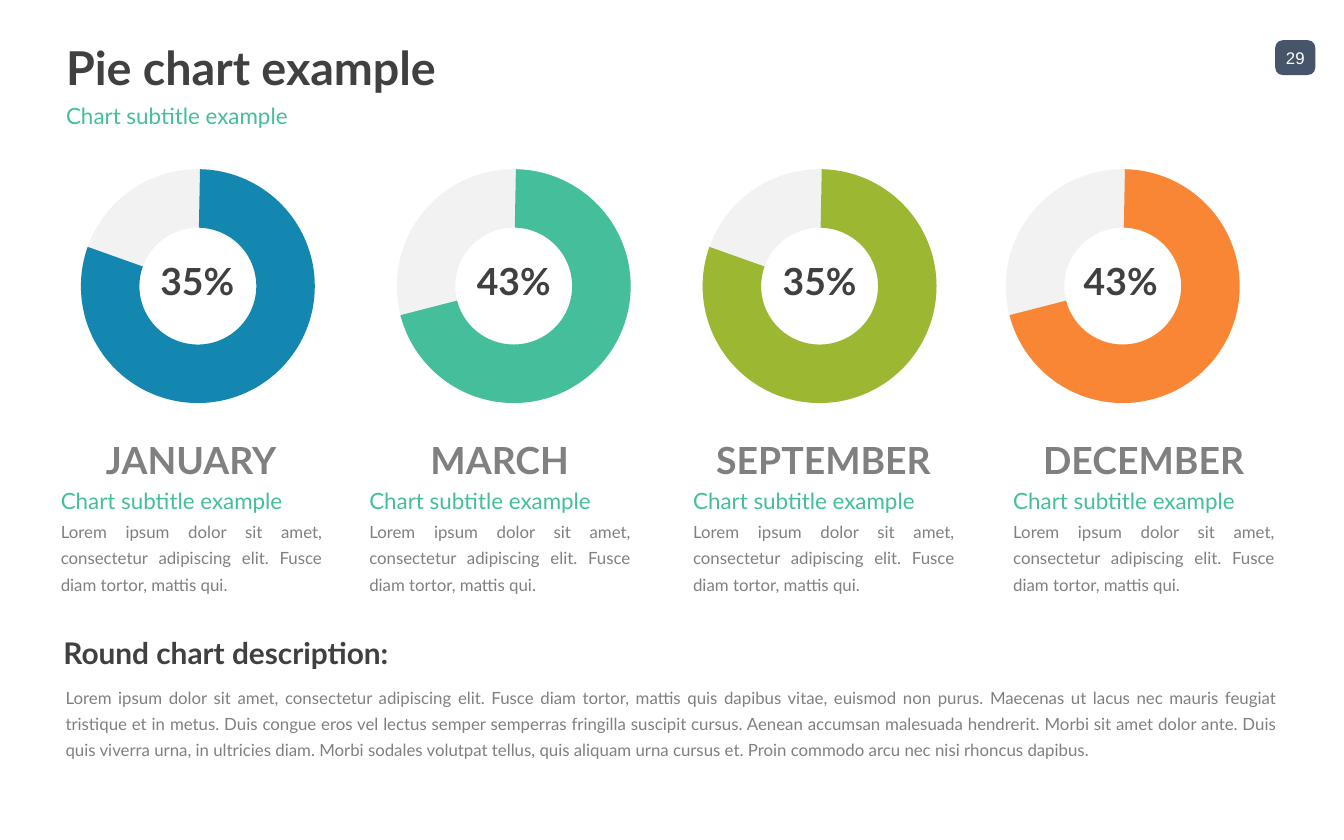
from dataclasses import dataclass

from pptx import Presentation
from pptx.dml.color import RGBColor
from pptx.enum.shapes import MSO_SHAPE
from pptx.enum.text import MSO_ANCHOR, PP_ALIGN
from pptx.shapes.autoshape import Shape
from pptx.slide import Slide
from pptx.util import Cm, Pt

DARK = RGBColor(0x40, 0x40, 0x40)
GRAY = RGBColor(0x80, 0x80, 0x80)
TRACK = RGBColor(0xF2, 0xF2, 0xF2)
SLATE = RGBColor(0x46, 0x55, 0x6A)
WHITE = RGBColor(0xFF, 0xFF, 0xFF)
BLUE = RGBColor(0x14, 0x87, 0xB1)
GREEN = RGBColor(0x44, 0xBE, 0x9B)
OLIVE = RGBColor(0x9C, 0xB8, 0x33)
ORANGE = RGBColor(0xF9, 0x86, 0x34)

RING_TOP, RING_SIZE = 3.2, 4.42
COLUMN_WIDTH = 4.93
ARC_START = 162.64
SUBTITLE = "Chart subtitle example"
MONTH_TEXT = ("Lorem ipsum dolor sit amet, consectetur adipiscing elit. "
              "Fusce diam tortor, mattis qui.")
DESCRIPTION = (
    "Lorem ipsum dolor sit amet, consectetur adipiscing elit. Fusce diam tortor, "
    "mattis quis dapibus vitae, euismod non purus. Maecenas ut lacus nec mauris "
    "feugiat tristique et in metus. Duis congue eros vel lectus semper semperras "
    "fringilla suscipit cursus. Aenean accumsan malesuada hendrerit. Morbi sit amet "
    "dolor ante. Duis quis viverra urna, in ultricies diam. Morbi sodales volutpat "
    "tellus, quis aliquam urna cursus et. Proin commodo arcu nec nisi rhoncus dapibus."
)


@dataclass(frozen=True)
class Area:
    """A rectangle in centimetres."""
    left: float
    top: float
    width: float
    height: float

    def lengths(self) -> tuple[Cm, Cm, Cm, Cm]:
        """Return the rectangle as slide lengths."""
        return Cm(self.left), Cm(self.top), Cm(self.width), Cm(self.height)


@dataclass(frozen=True)
class Style:
    """The look of one block of text."""
    size: float
    color: RGBColor
    bold: bool = False
    align: PP_ALIGN = PP_ALIGN.LEFT
    anchor: MSO_ANCHOR = MSO_ANCHOR.MIDDLE
    spacing: float = 1.0
    font: str = "Lato"
    wrap: bool = True


@dataclass(frozen=True)
class Month:
    """One ring chart with its column of text."""
    name: str
    percent: str
    color: RGBColor
    arc_end: float
    ring_left: float
    label_left: float
    text_left: float


TITLE = Style(25, DARK, bold=True)
SUBHEAD = Style(12, GREEN)
HEADING = Style(16, DARK, bold=True)
MONTH_NAME = Style(20, GRAY, bold=True, align=PP_ALIGN.CENTER)
PERCENT = Style(20, DARK, bold=True, align=PP_ALIGN.CENTER)
BODY = Style(9, GRAY, align=PP_ALIGN.JUSTIFY, anchor=MSO_ANCHOR.TOP, spacing=1.3)
PAGE_NUMBER = Style(9, WHITE, align=PP_ALIGN.CENTER, font="Arial", wrap=False)

MONTHS = (
    Month("JANUARY", "35%", BLUE, 119.77, 1.53, 2.72, 1.15),
    Month("MARCH", "43%", GREEN, 99.36, 7.5, 8.7, 6.98),
    Month("SEPTEMBER", "35%", OLIVE, 119.77, 13.28, 14.48, 13.1),
    Month("DECEMBER", "43%", ORANGE, 99.36, 19.01, 20.17, 19.15),
)


def write(box: Shape, text: str, style: Style) -> None:
    """Fill a box with one styled paragraph, without insets."""
    frame = box.text_frame
    frame.word_wrap = style.wrap
    frame.vertical_anchor = style.anchor
    frame.margin_left = frame.margin_right = 0
    frame.margin_top = frame.margin_bottom = 0
    para = frame.paragraphs[0]
    para.alignment = style.align
    para.line_spacing = style.spacing
    span = para.add_run()
    span.text = text
    span.font.name = style.font
    span.font.size = Pt(style.size)
    span.font.bold = style.bold
    span.font.color.rgb = style.color


def add_text(page: Slide, area: Area, text: str, style: Style) -> None:
    """Add a text box."""
    write(page.shapes.add_textbox(*area.lengths()), text, style)


def add_filled(page: Slide, preset: MSO_SHAPE, area: Area, color: RGBColor,
               adjustments: tuple[float, ...]) -> None:
    """Add a flat preset shape without an outline."""
    shape = page.shapes.add_shape(preset, *area.lengths())
    shape.shadow.inherit = False
    shape.fill.solid()
    shape.fill.fore_color.rgb = color
    shape.line.fill.background()
    for index, value in enumerate(adjustments):
        shape.adjustments[index] = value


def add_month(page: Slide, month: Month) -> None:
    """Draw a ring with its percentage and the text below it."""
    ring = Area(month.ring_left, RING_TOP, RING_SIZE, RING_SIZE)
    add_filled(page, MSO_SHAPE.DONUT, ring, TRACK, (0.25,))
    add_filled(page, MSO_SHAPE.BLOCK_ARC, ring, month.color,
               (ARC_START, month.arc_end, 0.25))
    add_text(page, Area(month.label_left, 4.78, 2.02, 1.04), month.percent, PERCENT)
    for top, height, text, style in (
        (8.28, 0.8, month.name, MONTH_NAME),
        (9.2, 0.53, SUBTITLE, SUBHEAD),
        (9.75, 1.95, MONTH_TEXT, BODY),
    ):
        add_text(page, Area(month.text_left, top, COLUMN_WIDTH, height), text, style)


def build() -> None:
    """Build and save the slide."""
    deck = Presentation()
    deck.slide_width, deck.slide_height = Cm(25.4), Cm(15.88)
    page = deck.slides.add_slide(deck.slide_layouts[5])

    title = page.shapes.title
    title.left, title.top, title.width, title.height = Area(1.25, 0.77, 22.86, 1).lengths()
    write(title, "Pie chart example", TITLE)
    add_text(page, Area(1.25, 1.92, 22.86, 0.53), SUBTITLE, SUBHEAD)

    add_filled(page, MSO_SHAPE.ROUNDED_RECTANGLE, Area(24.1, 0.76, 0.76, 0.66), SLATE, (0.22,))
    add_text(page, Area(24.28, 0.74, 0.4, 0.69), "29", PAGE_NUMBER)

    for month in MONTHS:
        add_month(page, month)

    add_text(page, Area(1.2, 11.84, 22.91, 1), "Round chart description:", HEADING)
    add_text(page, Area(1.24, 12.88, 22.86, 1.8), DESCRIPTION, BODY)
    deck.save("out.pptx")


build()
